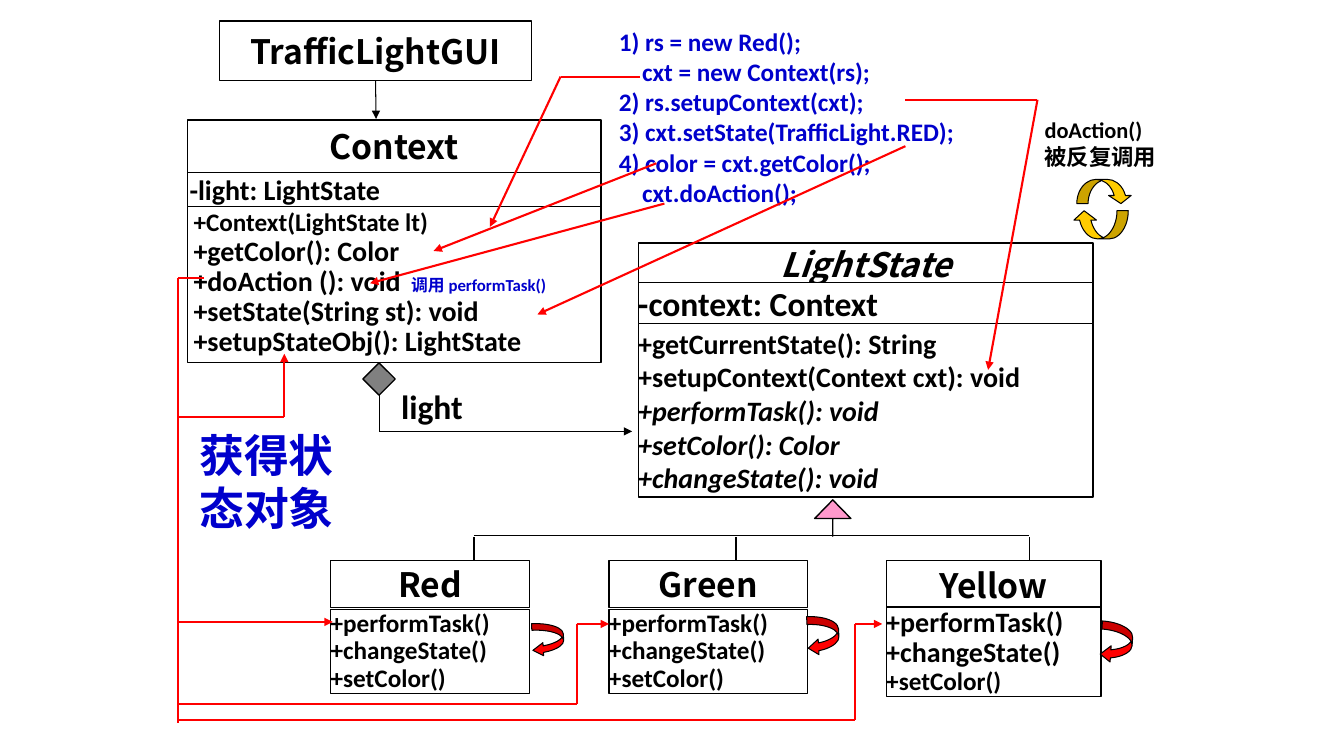
from lxml.etree import SubElement
from pptx import Presentation
from pptx.dml.color import RGBColor
from pptx.enum.shapes import MSO_CONNECTOR as Connector, MSO_SHAPE as Preset
from pptx.enum.text import MSO_ANCHOR as Anchor, PP_ALIGN as Align
from pptx.oxml.ns import qn
from pptx.util import Inches, Pt

COLORS = {"white": "FFFFFF", "black": "000000", "gray": "808080", "pink": "FF99CC",
          "red": "FF0000", "blue": "0000CC", "gold": "FFCC00"}
BODY, HEADING = "Calibri", "Noto Sans CJK SC"


def color(name):
    """Return the palette colour with this name."""
    return RGBColor.from_string(COLORS[name])


def write(shape, lines, size, font=BODY, ink="black", align=Align.LEFT, anchor=Anchor.MIDDLE,
          inset=(0, 0), spacing=None, italic=False):
    """Fill a shape with bold paragraphs, all in one format."""
    frame = shape.text_frame
    frame.text = "\n".join(lines)
    frame.word_wrap = True
    frame.vertical_anchor = anchor
    frame.margin_left = frame.margin_right = Inches(inset[0])
    frame.margin_top = frame.margin_bottom = Inches(inset[1])
    for paragraph in frame.paragraphs:
        paragraph.alignment = align
        paragraph.line_spacing = spacing
        for run in paragraph.runs:
            style(run, size, font, ink, italic)
    return frame.paragraphs


def style(run, size, font=BODY, ink="black", italic=False):
    """Format one bold run, with its East Asian font."""
    run.font.size, run.font.name = Pt(size), font
    run.font.bold, run.font.italic = True, italic
    run.font.color.rgb = color(ink)
    SubElement(run.font._element, qn("a:ea"), typeface=HEADING)
    latin = run.font._element.find(qn("a:latin"))
    latin.addnext(run.font._element.find(qn("a:ea")))


def add_preset(slide, preset, box, fill, line_width=1.0, adjustments=(), rotation=0, flip=None):
    """Add a flat, outlined preset shape."""
    shape = slide.shapes.add_shape(preset, *map(Inches, box))
    shape.shadow.inherit = False
    shape.fill.solid()
    shape.fill.fore_color.rgb = color(fill)
    shape.line.color.rgb = color("black")
    shape.line.width = Pt(line_width)
    for index, value in enumerate(adjustments):
        shape.adjustments[index] = value
    shape.rotation = rotation
    if flip:
        shape.element.spPr.find(qn("a:xfrm")).set(flip, "1")
    return shape


def add_path(slide, points, ink="black", width=1.0, arrow=False):
    """Join the points with straight connectors and return them."""
    connectors = []
    for start, end in zip(points, points[1:]):
        connector = slide.shapes.add_connector(Connector.STRAIGHT, *map(Inches, start + end))
        connector.line.color.rgb = color(ink)
        connector.line.width = Pt(width)
        connectors.append(connector)
    if arrow:
        SubElement(connectors[-1].line._get_or_add_ln(), qn("a:tailEnd"), type="triangle")
    for connector in connectors:
        SubElement(connector.element.spPr, qn("a:effectLst"))
    return connectors


def add_compartment(slide, box, lines, size, **options):
    """Add one white rectangle of a class box and return its paragraphs."""
    return write(add_preset(slide, Preset.RECTANGLE, box, "white"), lines, size, **options)


def add_heading(slide, box, name, **options):
    """Add the name compartment of a class."""
    return add_compartment(slide, box, [name], 24, font=HEADING, align=Align.CENTER, **options)


def add_context(slide, left, top, width):
    """Draw the Context class."""
    add_heading(slide, (left, top, width, 0.52), "Context")
    operations = add_compartment(
        slide, (left, top + 0.84, width, 1.57),
        ["+Context(LightState lt)", "+getColor(): Color", "+doAction (): void ",
         "+setState(String st): void", "+setupStateObj(): LightState"],
        20, inset=(0.06, 0.03), spacing=0.9)
    operations[0].runs[0].font.size = Pt(18)
    note = operations[2].add_run()
    note.text = " 调用 performTask()"
    style(note, 12, ink="blue")
    add_compartment(slide, (left, top + 0.52, width, 0.34), ["-light: LightState"], 20,
                    inset=(0.02, 0))


def add_light_state(slide, left, top, width):
    """Draw the abstract LightState class."""
    add_heading(slide, (left, top, width, 0.41), "LightState", italic=True)
    operations = add_compartment(
        slide, (left, top + 0.8, width, 1.72),
        ["+getCurrentState(): String", "+setupContext(Context cxt): void",
         "+performTask(): void", "+setColor(): Color", "+changeState(): void"], 20)
    for paragraph in operations[2:]:
        paragraph.runs[0].font.italic = True
    add_compartment(slide, (left, top + 0.39, width, 0.41), ["-context: Context"], 24)


def add_state(slide, name, left, top, width, heading_height, body_box, size):
    """Draw one concrete state class; body_box is its offset and height."""
    add_heading(slide, (left, top, width, heading_height), name)
    offset, height = body_box
    operations = add_compartment(slide, (left, top + offset, width, height),
                                 ["+performTask()", "+changeState()", "+setColor()"],
                                 size, spacing=0.9)
    operations[2].runs[0].font.size = Pt(18)


def add_relations(slide, gui):
    """Draw the black association, composition and inheritance lines."""
    use = add_path(slide, [(3.73, 0.8), (3.73, 1.18)], width=0.75, arrow=True)[0]
    use.begin_connect(gui, 2)
    diamond = add_preset(slide, Preset.DIAMOND, (3.6, 3.6, 0.32, 0.32), "gray")
    owner = add_path(slide, [(3.76, 3.92), (3.76, 4.28), (6.27, 4.28)], width=0.75, arrow=True)
    owner[0].begin_connect(diamond, 2)
    label = slide.shapes.add_textbox(*map(Inches, (3.83, 3.83, 0.91, 0.4)))
    write(label, ["light"], 24, align=Align.CENTER, anchor=Anchor.TOP)
    add_preset(slide, Preset.UP_ARROW, (8.08, 4.96, 0.36, 0.36), "pink", adjustments=(0, 0.514))
    add_path(slide, [(4.7, 5.31), (10.21, 5.31)])
    for x in (4.7, 7.3, 10.21):
        add_path(slide, [(x, 5.33), (x, 5.56)])


def add_client_code(slide, left, top, width, height):
    """Write the numbered calls made by the client."""
    box = slide.shapes.add_textbox(*map(Inches, (left, top, width, height)))
    calls = write(box, ["1) rs = new Red();", "cxt = new Context(rs);",
                        "2) rs.setupContext(cxt);", "3) cxt.setState(TrafficLight.RED);",
                        "4) color = cxt.getColor();", "cxt.doAction();"],
                  18, ink="blue", anchor=Anchor.TOP, inset=(0.1, 0.05))
    for index in (1, 5):
        calls[index]._p.get_or_add_pPr().set("marL", str(Inches(0.23)))


def add_calls(slide):
    """Draw the red call paths."""
    trunk = 1.77
    add_path(slide, [(2.02, 2.76), (trunk, 2.76), (trunk, 7.17)], "red", 1.5)
    arrows = [
        [(6.35, 0.76), (5.56, 0.76), (4.86, 2.25)],
        [(8.98, 1.45), (5.33, 3.12)],
        [(6.59, 2.02), (3.67, 2.81)],
        [(6.51, 1.62), (4.3, 2.49)],
        [(8.98, 0.99), (10.29, 0.99), (9.8, 3.67)],
        [(trunk, 4.14), (2.82, 4.14), (2.82, 3.51)],
        [(trunk, 6.17), (3.3, 6.17)],
        [(trunk, 6.98), (5.72, 6.98), (5.72, 6.19), (6.04, 6.19)],
        [(trunk, 7.14), (8.48, 7.14), (8.48, 6.19), (8.75, 6.19)],
    ]
    for points in arrows:
        add_path(slide, points, "red", 1.5, arrow=True)


def add_loops(slide):
    """Draw the curved arrows that mark repeated calls."""
    for box, rotation, bend in (((5.27, 6.19, 0.33, 0.31), 267, 0.21),
                                ((7.97, 6.15, 0.39, 0.31), 267, 0.25),
                                ((10.87, 6.22, 0.41, 0.31), 273.9, 0.26)):
        add_preset(slide, Preset.CURVED_UP_ARROW, box, "red", 0.75,
                   (bend, 2 * bend, 0.333), rotation, "flipH")
    add_preset(slide, Preset.CURVED_DOWN_ARROW, (10.68, 1.78, 0.55, 0.24), "gold", 0.75,
               (0.466, 0.932, 0.333))
    add_preset(slide, Preset.CURVED_UP_ARROW, (10.64, 2.09, 0.55, 0.28), "gold", 0.75,
               (0.4, 0.8, 0.333), 180, "flipV")


def add_notes_on_diagram(slide):
    """Write the two remarks beside the classes."""
    remark = slide.shapes.add_textbox(*map(Inches, (1.86, 4.19, 1.57, 1.18)))
    write(remark, ["获得状态对象"], 32, HEADING, "blue", Align.CENTER, Anchor.TOP, (0, 0.05))
    repeat = slide.shapes.add_textbox(*map(Inches, (10.36, 1.15, 1.19, 0.53)))
    write(repeat, ["doAction()被反复调用"], 16, anchor=Anchor.TOP)


def main():
    """Build the traffic light class diagram."""
    presentation = Presentation()
    presentation.slide_width, presentation.slide_height = Inches(13.33), Inches(7.5)
    slide = presentation.slides.add_slide(presentation.slide_layouts[6])
    gui = add_preset(slide, Preset.RECTANGLE, (2.18, 0.21, 3.09, 0.59), "white")
    write(gui, ["TrafficLightGUI"], 24, HEADING, align=Align.CENTER)
    add_context(slide, 1.86, 1.19, 4.1)
    add_light_state(slide, 6.33, 2.41, 4.51)
    add_relations(slide, gui)
    add_state(slide, "Red", 3.28, 5.56, 1.97, 0.47, (0.49, 0.83), 18)
    add_state(slide, "Green", 6.04, 5.56, 1.97, 0.47, (0.49, 0.83), 18)
    add_state(slide, "Yellow", 8.79, 5.56, 2.13, 0.49, (0.46, 0.89), 20)
    add_client_code(slide, 6.04, 0.21, 4.41, 1.9)
    add_calls(slide)
    add_notes_on_diagram(slide)
    add_loops(slide)
    presentation.save("out.pptx")


if __name__ == "__main__":
    main()
